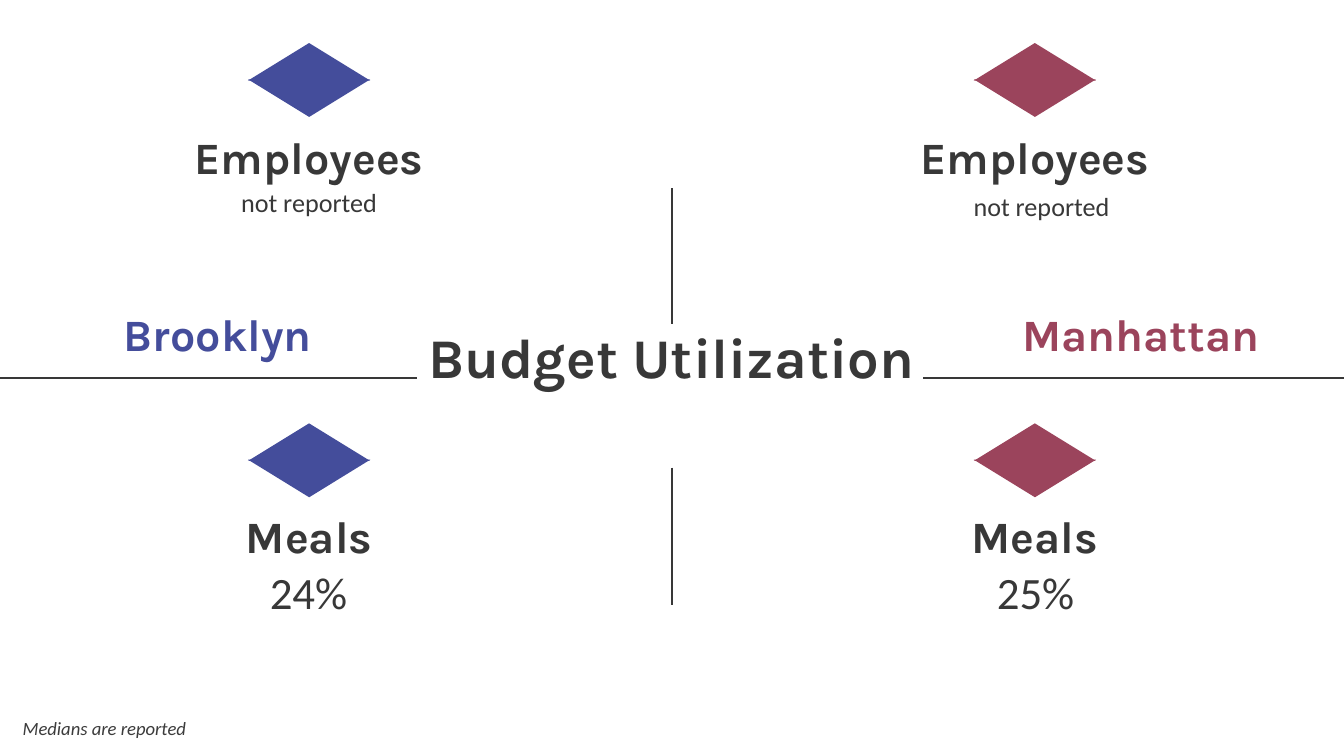
"""Builds the Budget Utilization comparison slide."""
from lxml import etree
from pptx import Presentation
from pptx.dml.color import RGBColor
from pptx.enum.shapes import MSO_CONNECTOR, MSO_SHAPE
from pptx.enum.text import MSO_ANCHOR, PP_ALIGN
from pptx.oxml.ns import qn
from pptx.util import Inches, Pt

THEME = {
    "ink": "383838", "note": "3C3C3C", "blue": "444D9B", "red": "9B445C",
    "head": "Karla", "body": "Calibri",
    "title": 30, "heading": 24, "small": 14, "footnote": 10, "rule": 1.5,
}
WIDTH = 10
HEIGHT = WIDTH * 9 / 16
MID_X, MID_Y = WIDTH / 2, HEIGHT / 2
BOROUGHS = [
    {"name": "Brooklyn", "color": "blue", "center": 2.3, "name_left": -0.11,
     "employees": ("not reported", 0.73, 1.29), "meals": ("24%", 0.8, 4.1)},
    {"name": "Manhattan", "color": "red", "center": 7.7, "name_left": 6.76,
     "employees": ("not reported", 6.18, 1.32), "meals": ("25%", 6.21, 4.1)},
]
METRICS = [("Employees", "employees", 0.32, 0.98, "small", True),
           ("Meals", "meals", 3.15, 3.8, "heading", False)]
RULES = [(-0.02, MID_Y, 3.1, MID_Y), (6.87, MID_Y, WIDTH, MID_Y),
         (MID_X, 1.4, MID_X, 2.41), (MID_X, 3.48, MID_X, 4.5)]
TRIANGLE_W, TRIANGLE_H, OVERLAP = 0.91, 0.28, 0.01

prs = Presentation()
prs.slide_width, prs.slide_height = Inches(WIDTH), Inches(HEIGHT)
slide = prs.slides.add_slide(prs.slide_layouts[6])


def rgb(name):
    return RGBColor.from_string(THEME[name])


def add_text(text, box, size, color="ink", font="head", align=PP_ALIGN.CENTER,
             anchor=MSO_ANCHOR.TOP, italic=False, hanging=False):
    frame = slide.shapes.add_textbox(*map(Inches, box)).text_frame
    frame.word_wrap = True
    frame.vertical_anchor = anchor
    frame.margin_left = frame.margin_right = Inches(0.1)
    frame.margin_top = frame.margin_bottom = Inches(0.1)
    paragraph = frame.paragraphs[0]
    paragraph.alignment = align
    if hanging:
        properties = paragraph._p.get_or_add_pPr()
        properties.set("marL", str(Inches(0.5)))
        properties.set("indent", str(Inches(-0.35)))
    run = paragraph.add_run()
    run.text = text
    run.font.name, run.font.size = THEME[font], Pt(THEME[size])
    run.font.bold, run.font.italic = font == "head", italic
    run.font.color.rgb = rgb(color)


def add_diamond(center, top, color):
    for half, rotation in enumerate((0, 180)):
        triangle = slide.shapes.add_shape(
            MSO_SHAPE.ISOSCELES_TRIANGLE, Inches(center - TRIANGLE_W / 2),
            Inches(top + half * (TRIANGLE_H - OVERLAP)),
            Inches(TRIANGLE_W), Inches(TRIANGLE_H))
        triangle.rotation = rotation
        triangle.shadow.inherit = False
        triangle.fill.solid()
        triangle.fill.fore_color.rgb = rgb(color)
        triangle.line.fill.background()


for ends in RULES:
    rule = slide.shapes.add_connector(MSO_CONNECTOR.STRAIGHT, *map(Inches, ends))
    rule.line.color.rgb, rule.line.width = rgb("ink"), Pt(THEME["rule"])
    etree.SubElement(rule._element.spPr, qn("a:effectLst"))

for borough in BOROUGHS:
    center, color = borough["center"], borough["color"]
    add_text(borough["name"], (borough["name_left"], 2.18, 3.46, 0.58), "heading", color)
    for label, key, diamond_top, label_top, size, hanging in METRICS:
        add_diamond(center, diamond_top, color)
        add_text(label, (center - 1.07, label_top, 2.14, 0.37), "heading",
                 anchor=MSO_ANCHOR.MIDDLE)
        value, left, top = borough[key]
        add_text(value, (left, top, 2.99, 0.88), size, font="body", hanging=hanging)

add_text("Budget Utilization", (2.9, 2.3, 4.19, 0.58), "title")
add_text("Medians are reported", (0.07, 5.25, 4.19, 0.27), "footnote", "note", "body",
         PP_ALIGN.LEFT, italic=True)

prs.save("out.pptx")
